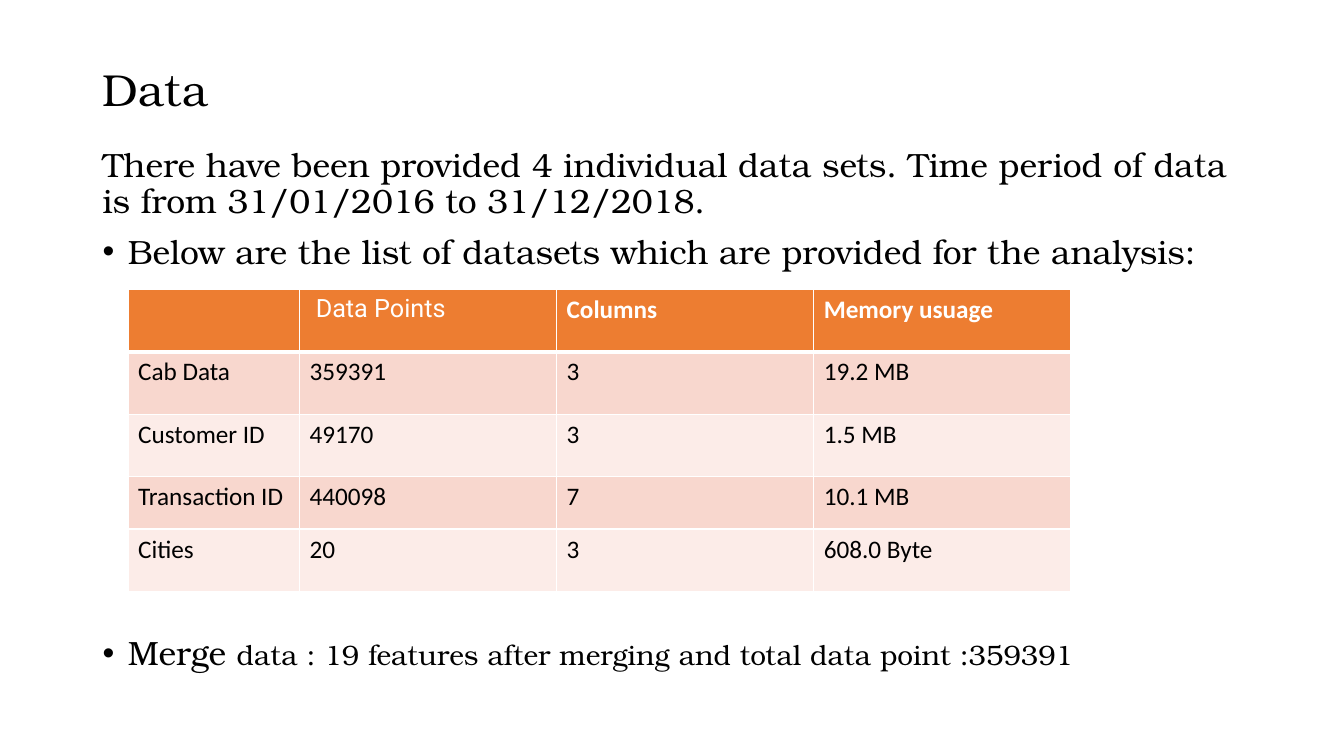
from lxml.etree import SubElement
from pptx import Presentation
from pptx.dml.color import RGBColor
from pptx.enum.text import MSO_ANCHOR
from pptx.oxml.ns import qn
from pptx.util import Inches, Pt

INK = {"text": "000000", "head": "ED7D31", "odd": "F8D7CE",
       "even": "FCECE8", "white": "FFFFFF"}
SERIF = "TeX Gyre Bonum"

deck = Presentation()
deck.slide_width, deck.slide_height = Inches(13.33), Inches(7.5)
slide = deck.slides.add_slide(deck.slide_layouts[6])
wide, high = deck.slide_width, deck.slide_height


def add_run(para, text, size, font=SERIF, ink="text", bold=False):
    """Add one styled run to a paragraph."""
    run = para.add_run()
    run.text = text
    run.font.size, run.font.name, run.font.bold = Pt(size), font, bold
    run.font.color.rgb = RGBColor.from_string(INK[ink])


def add_box(top, tall):
    """Add a wrapping text box across the text column; return its frame."""
    box = slide.shapes.add_textbox(int(wide * 0.069), int(high * top),
                                   int(wide * 0.863), int(high * tall))
    box.text_frame.word_wrap = True
    return box.text_frame


# Title
title = add_box(0.053, 0.137)
title.vertical_anchor = MSO_ANCHOR.MIDDLE
title.paragraphs[0].line_spacing = 0.9
add_run(title.paragraphs[0], "Data", 32)

# Body: bullet flag, space before, runs; the last gap leaves room for the table
lines = [
    (False, 10, [("There have been provided 4 individual data sets. "
                  "Time period of data is from 31/01/2016 to 31/12/2018.", 24)]),
    (True, 10, [("Below are the list of datasets which are provided "
                 "for the analysis:", 24)]),
    (True, 261, [("Merge ", 24),
                 ("data : 19 features after merging and total data point "
                  ":359391", 20)]),
]
body = add_box(0.19, 0.71)
for num, (mark, gap, runs) in enumerate(lines):
    para = body.add_paragraph() if num else body.paragraphs[0]
    para.line_spacing, para.space_before = 0.9, Pt(gap)
    if mark:
        props = para._p.get_or_add_pPr()
        props.set("marL", str(Inches(0.25)))
        props.set("indent", str(-Inches(0.25)))
        SubElement(props, qn("a:buFont"), typeface="Arial")
        SubElement(props, qn("a:buChar"), char="•")
    for text, size in runs:
        add_run(para, text, size)

# Table of data sets
rows = [
    ["", " Data Points", "Columns", "Memory usuage"],
    ["Cab Data", "359391", "3", "19.2 MB"],
    ["Customer ID", "49170", "3", "1.5 MB"],
    ["Transaction ID", "440098", "7", "10.1 MB"],
    ["Cities", "20", "3", "608.0 Byte"],
]
spans = [2, 3, 3, 3]
unit = Inches(0.85)
talls = [0.62, 0.62, 0.62, 0.52, 0.62]
table = slide.shapes.add_table(
    len(rows), len(spans), Inches(1.27), Inches(2.87),
    unit * sum(spans), Inches(sum(talls))).table
table.first_row = table.horz_banding = False
for col, span in zip(table.columns, spans):
    col.width = unit * span
for row, tall in zip(table.rows, talls):
    row.height = Inches(tall)

for r, row in enumerate(rows):
    for c, text in enumerate(row):
        cell = table.cell(r, c)
        props = cell._tc.get_or_add_tcPr()
        for side in "LRTB":
            thick = 3 if (r, side) in [(0, "B"), (1, "T")] else 1
            edge = SubElement(props, qn("a:ln" + side), w=str(Pt(thick)))
            fill = SubElement(edge, qn("a:solidFill"))
            SubElement(fill, qn("a:srgbClr"), val=INK["white"])
        cell.fill.solid()
        shade = "head" if r == 0 else "odd" if r % 2 else "even"
        cell.fill.fore_color.rgb = RGBColor.from_string(INK[shade])
        if text:
            plain = (r, c) == (0, 1)
            add_run(cell.text_frame.paragraphs[0], text, 18,
                    "Roboto" if plain else "Calibri",
                    "text" if r else "white", r == 0 and not plain)

deck.save("out.pptx")
